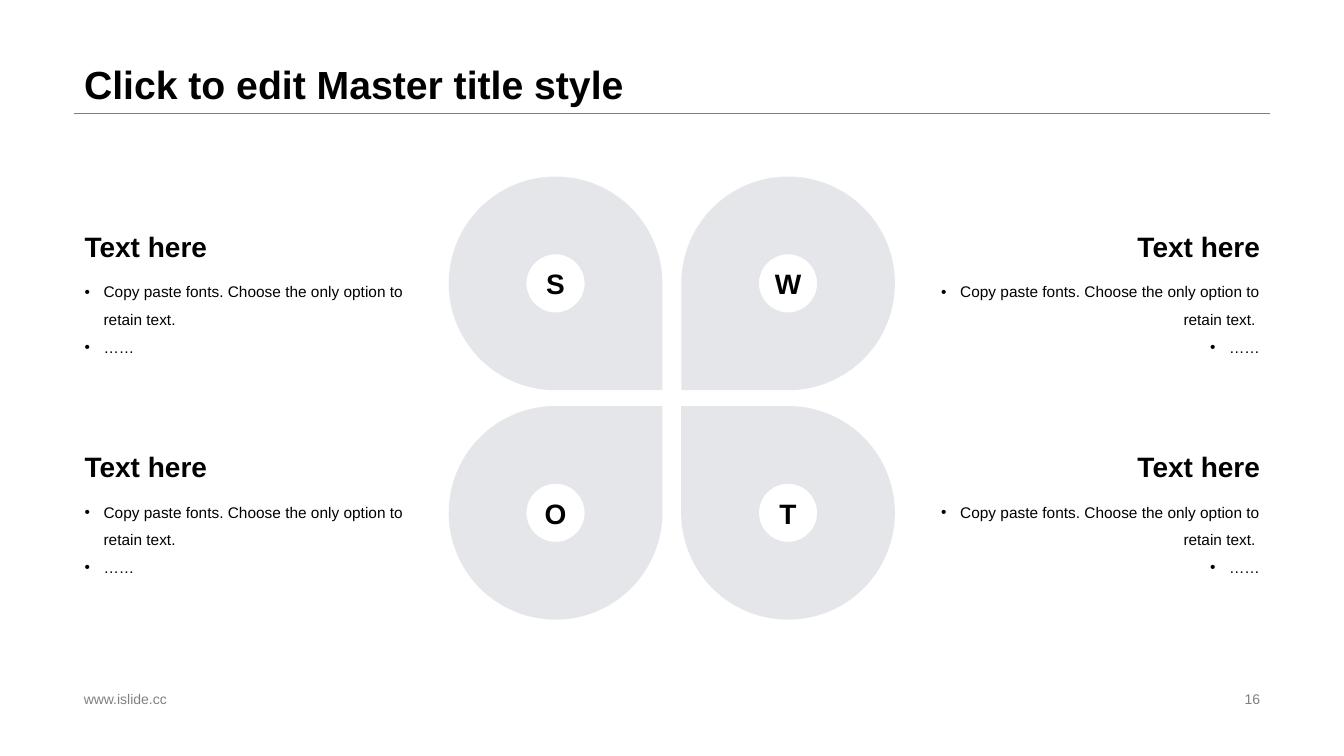
from lxml import etree
from pptx import Presentation
from pptx.dml.color import RGBColor
from pptx.enum.shapes import MSO_CONNECTOR, MSO_SHAPE
from pptx.enum.text import MSO_ANCHOR, MSO_AUTO_SIZE, PP_ALIGN
from pptx.oxml.ns import qn
from pptx.util import Pt

LEFT, CENTER, RIGHT = PP_ALIGN.LEFT, PP_ALIGN.CENTER, PP_ALIGN.RIGHT
TOP, MIDDLE, BOTTOM = MSO_ANCHOR.TOP, MSO_ANCHOR.MIDDLE, MSO_ANCHOR.BOTTOM
TEARDROP, OVAL = MSO_SHAPE.TEAR, MSO_SHAPE.OVAL

COLORS = {"text": "000000", "muted": "808080", "petal": "E4E6EA", "white": "FFFFFF"}
COMPARISON_LAYOUT = 4
PETAL, BADGE = 152.6, 44.6
TEXT_WIDTH = 250.6


def place(shape, left, top, width, height):
    shape.left, shape.top = Pt(left), Pt(top)
    shape.width, shape.height = Pt(width), Pt(height)


def style(shape, size, anchor, align=LEFT, color="text", bold=False, spacing=1.0):
    frame = shape.text_frame
    frame.word_wrap = True
    frame.auto_size = MSO_AUTO_SIZE.NONE
    frame.vertical_anchor = anchor
    for paragraph in frame.paragraphs:
        paragraph.alignment = align
        paragraph.line_spacing = spacing
        paragraph.space_before = Pt(0)
        for run in paragraph.runs:
            run.font.name = "Arial"
            run.font.size = Pt(size)
            run.font.bold = bold
            run.font.color.rgb = RGBColor.from_string(COLORS[color])


prs = Presentation()
prs.slide_width, prs.slide_height = Pt(960), Pt(540)
slide = prs.slides.add_slide(prs.slide_layouts[COMPARISON_LAYOUT])
shapes = slide.shapes

# Title and its rule
title = shapes.title
place(title, 52.8, 0, 854.4, 80.8)
title.text_frame.text = "Click to edit Master title style"
style(title, 28, BOTTOM, bold=True, spacing=0.9)

rule = shapes.add_connector(MSO_CONNECTOR.STRAIGHT, Pt(52.8), Pt(80.8), Pt(907.2), Pt(80.8))
rule.line.color.rgb = RGBColor.from_string(COLORS["muted"])
rule.line.width = Pt(0.25)
etree.SubElement(rule._element.spPr, qn("a:effectLst"))

# Footer and page number
for words, left, width, align in [("www.islide.cc", 52.8, 326.2, LEFT),
                                  ("16", 678.2, 229, RIGHT)]:
    footer = shapes.add_textbox(Pt(left), Pt(491), Pt(width), Pt(16.6))
    footer.text_frame.text = words
    style(footer, 10, MIDDLE, align, "muted")

# Quadrants: petal, letter badge, heading and list
columns = [(320.5, 53.3, LEFT, ""), (486.6, 656.6, RIGHT, " ")]
rows = [(126.1, 156.8), (290, 314.1)]
quadrants = [("S", 0, 0, 90), ("W", 0, 1, 180), ("O", 1, 0, 0), ("T", 1, 1, 270)]
lists = [p for p in slide.placeholders if p.placeholder_format.idx != 0]

for (letter, row, column, rotation), points in zip(quadrants, lists):
    petal_left, text_left, align, ending = columns[column]
    petal_top, text_top = rows[row]

    petal = shapes.add_shape(TEARDROP, Pt(petal_left), Pt(petal_top), Pt(PETAL), Pt(PETAL))
    petal.rotation = rotation
    petal.line.fill.background()

    inset = (PETAL - BADGE) / 2
    badge = shapes.add_shape(OVAL, Pt(petal_left + inset), Pt(petal_top + inset),
                             Pt(BADGE), Pt(BADGE))
    badge.line.color.rgb = RGBColor.from_string(COLORS["petal"])
    badge.line.width = Pt(3)
    badge.text_frame.text = letter
    style(badge, 20, MIDDLE, CENTER, bold=True)
    badge.text_frame.word_wrap = False

    for shape, fill in [(petal, "petal"), (badge, "white")]:
        shape.shadow.inherit = False
        shape.fill.solid()
        shape.fill.fore_color.rgb = RGBColor.from_string(COLORS[fill])

    heading = shapes.add_textbox(Pt(text_left), Pt(text_top), Pt(TEXT_WIDTH), Pt(34.8))
    heading.text_frame.text = "Text here"
    style(heading, 20, BOTTOM, align, bold=True)

    place(points, text_left, text_top + 34.8, TEXT_WIDTH, 76.3)
    points.text_frame.text = f"Copy paste fonts. Choose the only option to retain text.{ending}\n……"
    for point in points.text_frame.paragraphs:
        properties = point._p.get_or_add_pPr()
        properties.set("marL", str(Pt(13.5)))
        properties.set("indent", str(-Pt(13.5)))
        etree.SubElement(properties, qn("a:buFont"), typeface="Arial")
        etree.SubElement(properties, qn("a:buChar"), char="•")
    style(points, 11, TOP, align, spacing=1.5)

prs.save("out.pptx")
